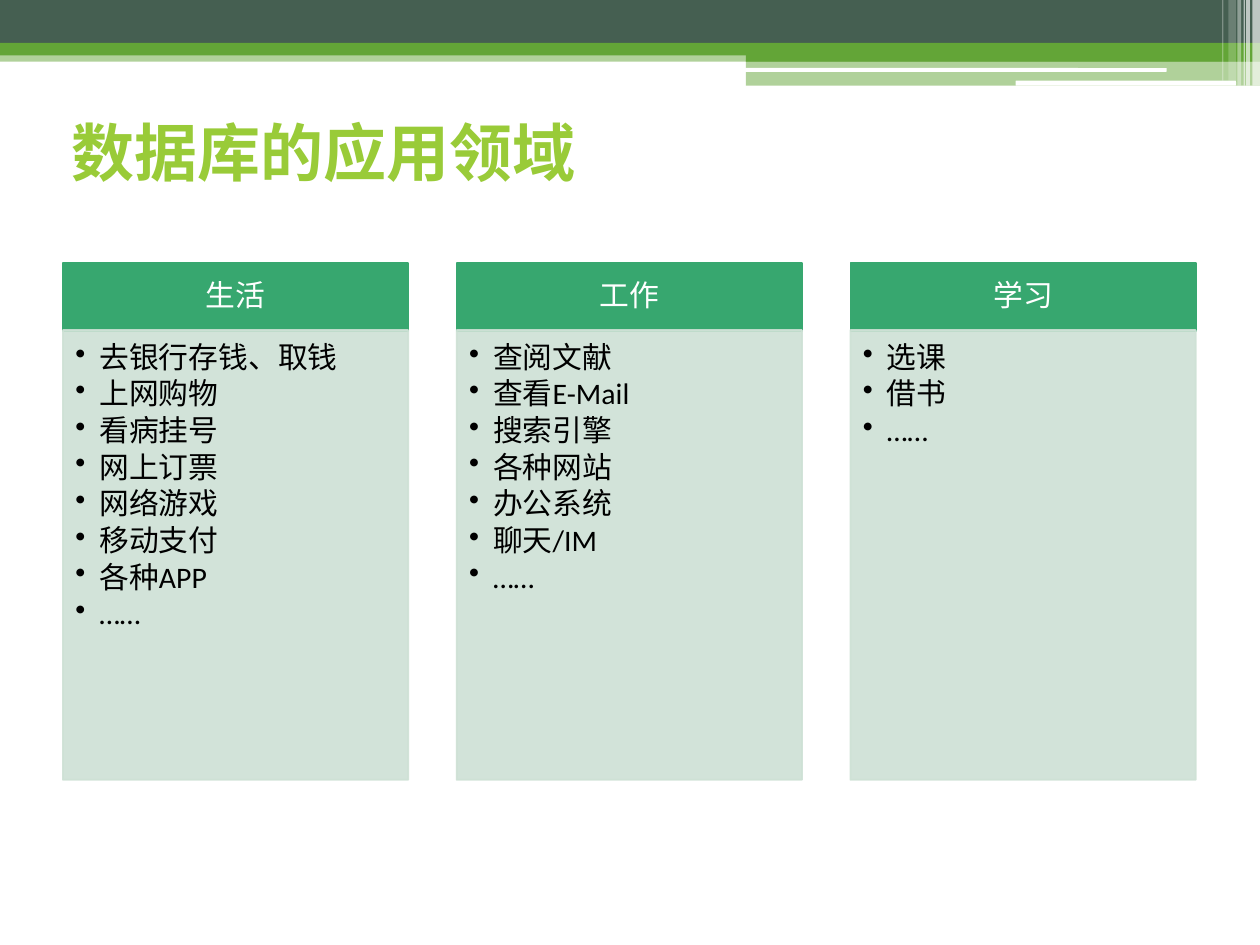
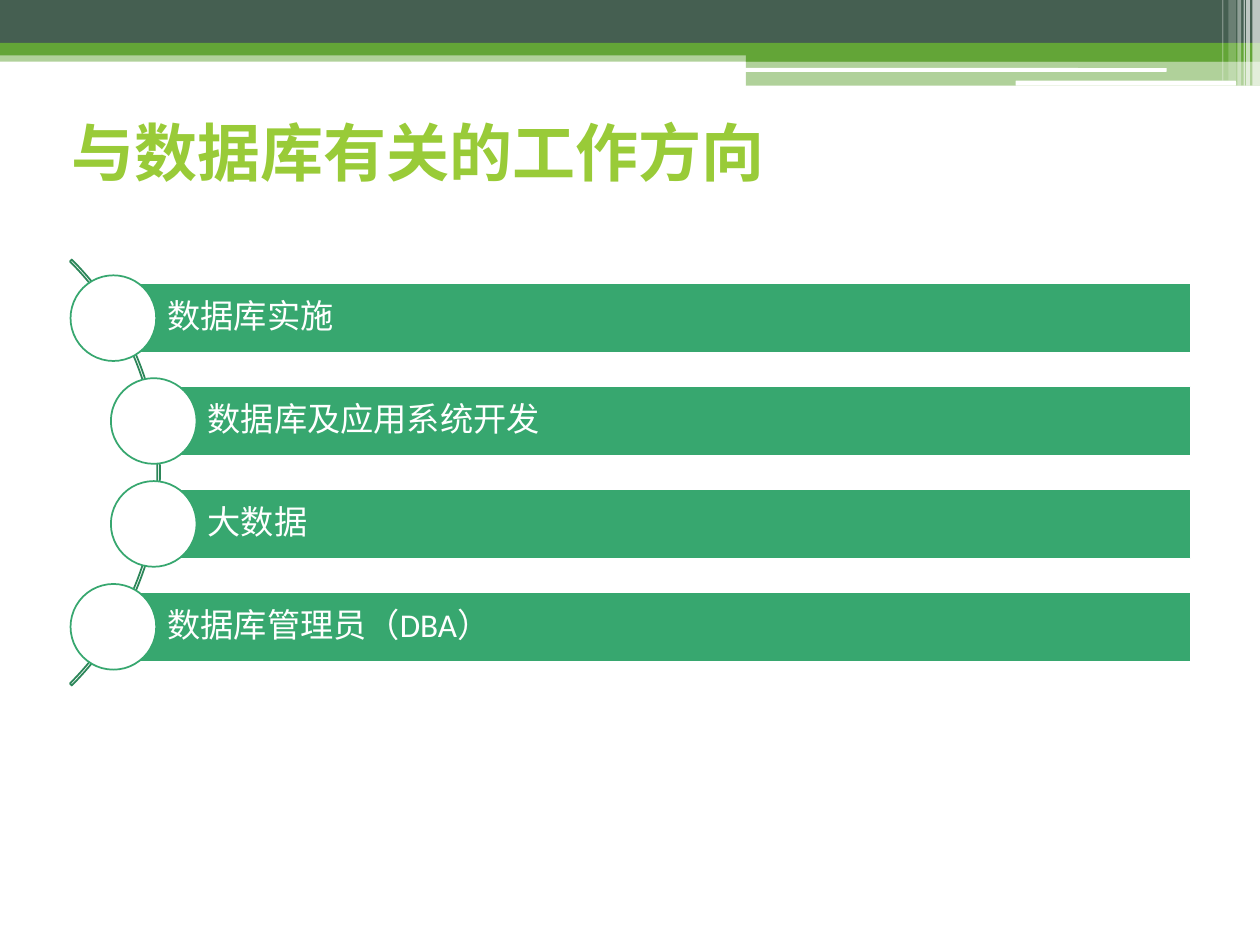
from dataclasses import dataclass
from typing import Optional

from lxml.etree import SubElement
from pptx import Presentation
from pptx.dml.color import RGBColor
from pptx.enum.shapes import MSO_SHAPE as Preset
from pptx.enum.text import MSO_ANCHOR as Anchor, PP_ALIGN as Align
from pptx.oxml.ns import qn
from pptx.util import Inches, Pt

COLORS = {
    "slate": "455F51",
    "green": "63A537",
    "lime": "99CB38",
    "emerald": "37A76F",
    "forest": "2C8659",
    "mint": "CEE1D5",
    "white": "FFFFFF",
    "black": "000000",
}
FONT = "Calibri"


@dataclass(frozen=True)
class Box:
    """Place and size in inches."""
    left: float
    top: float
    width: float
    height: float


@dataclass(frozen=True)
class Band:
    """One strip of the header decoration."""
    box: Box
    color: str
    opacity: int = 100
    preset: Preset = Preset.RECTANGLE


@dataclass(frozen=True)
class Field:
    """One area of use with its examples."""
    name: str
    examples: tuple[str, ...]


@dataclass(frozen=True)
class Career:
    """One career path and the left edge of its bar."""
    name: str
    left: float


BANDS = (
    Band(Box(0, 0.4, 10, 0.09), "green", 50),
    Band(Box(0, 0, 10, 0.34), "slate"),
    Band(Box(0, 0.34, 10, 0.1), "green"),
    Band(Box(5.92, 0.39, 4.08, 0.1), "green"),
    Band(Box(5.92, 0.48, 4.08, 0.2), "green", 50),
    Band(Box(5.91, 0.54, 3.35, 0.03), "white", preset=Preset.ROUNDED_RECTANGLE),
    Band(Box(8.06, 0.64, 1.75, 0.04), "white", preset=Preset.ROUNDED_RECTANGLE),
    Band(Box(9.94, 0, 0.06, 0.68), "white", 65),
    Band(Box(9.89, 0, 0.03, 0.68), "white", 65),
    Band(Box(9.87, 0, 0.01, 0.68), "white", 60),
    Band(Box(9.82, 0, 0.03, 0.68), "white", 40),
    Band(Box(9.75, 0, 0.06, 0.64), "white", 20),
    Band(Box(9.7, 0, 0.01, 0.64), "white", 30),
)
FIELDS = (
    Field("生活", ("去银行存钱、取钱", "上网购物", "看病挂号", "网上订票",
                 "网络游戏", "移动支付", "各种APP", "……")),
    Field("工作", ("查阅文献", "查看E-Mail", "搜索引擎", "各种网站",
                 "办公系统", "聊天/IM", "……")),
    Field("学习", ("选课", "借书", "……")),
)
CAREERS = (
    Career("数据库实施", 0.9),
    Career("数据库及应用系统开发", 1.22),
    Career("大数据", 1.22),
    Career("数据库管理员（DBA）", 0.9),
)


def rgb(color: str) -> RGBColor:
    """Look up a named colour."""
    return RGBColor.from_string(COLORS[color])


def place(box: Box) -> tuple:
    """Turn a box into lengths."""
    return tuple(map(Inches, (box.left, box.top, box.width, box.height)))


def draw_shape(slide, preset: Preset, box: Box, fill: Optional[str] = None,
               line: Optional[str] = None, opacity: int = 100):
    """Draw a preset shape without a shadow."""
    shape = slide.shapes.add_shape(preset, *place(box))
    shape.shadow.inherit = False
    if fill:
        shape.fill.solid()
        shape.fill.fore_color.rgb = rgb(fill)
    else:
        shape.fill.background()
    if line:
        shape.line.color.rgb = rgb(line)
        shape.line.width = Pt(1)
    else:
        shape.line.fill.background()
    if opacity < 100:
        for color in shape.element.spPr.iter(qn("a:srgbClr")):
            SubElement(color, qn("a:alpha"), val=str(opacity * 1000))
    return shape


def add_bullet(paragraph, indent: float) -> None:
    """Give a paragraph a hanging round bullet."""
    properties = paragraph._p.get_or_add_pPr()
    properties.set("marL", str(Inches(indent)))
    properties.set("indent", str(-Inches(indent)))
    SubElement(properties, qn("a:buChar"), char="•")


def write(holder, *lines: str, size: float, color: str, bold: bool = False,
          align: Align = Align.LEFT, anchor: Anchor = Anchor.MIDDLE,
          insets: tuple[float, ...] = (0.1, 0.05, 0.1, 0.05),
          spacing: float = 1.0, after: float = 0, bullets: bool = False) -> None:
    """Write one paragraph per line in one format."""
    frame = holder.text_frame
    frame.word_wrap = True
    frame.vertical_anchor = anchor
    frame.margin_left, frame.margin_top, frame.margin_right, frame.margin_bottom = map(Inches, insets)
    for index, line in enumerate(lines):
        paragraph = frame.add_paragraph() if index else frame.paragraphs[0]
        paragraph.alignment = align
        paragraph.line_spacing = spacing
        paragraph.space_after = Pt(after * size)
        if bullets:
            add_bullet(paragraph, 0.19)
        run = paragraph.add_run()
        run.text = line
        run.font.name = FONT
        run.font.size = Pt(size)
        run.font.bold = bold
        run.font.color.rgb = rgb(color)


def start_slide(deck, title: str):
    """Add a slide with the shared header and title."""
    slide = deck.slides.add_slide(deck.slide_layouts[6])
    for band in BANDS:
        draw_shape(slide, band.preset, band.box, band.color, opacity=band.opacity)
    heading = slide.shapes.add_textbox(*place(Box(0.47, 0.82, 9.06, 0.77)))
    write(heading, title, size=36, color="lime", bold=True)
    return slide


def draw_fields(slide) -> None:
    """Draw the areas of use as equal columns."""
    first, last, width = 0.5, 6.75, 2.74
    step = (last - first) / (len(FIELDS) - 1)
    for index, field in enumerate(FIELDS):
        left = first + index * step
        header = draw_shape(slide, Preset.RECTANGLE, Box(left, 2.09, width, 0.54),
                            "emerald", "emerald")
        write(header, field.name, size=17, color="white", align=Align.CENTER,
              insets=(0.13, 0.08, 0.13, 0.08), spacing=0.9)
        body = draw_shape(slide, Preset.RECTANGLE, Box(left, 2.62, width, 3.57),
                          "mint", "mint", opacity=90)
        write(body, *field.examples, size=17, color="black", anchor=Anchor.TOP,
              insets=(0.1, 0.1, 0.13, 0.15), spacing=0.9, after=0.15, bullets=True)


def draw_careers(slide) -> None:
    """Draw the career paths as bars along an arc."""
    arc = draw_shape(slide, Preset.BLOCK_ARC, Box(-3.51, 1.36, 4.78, 4.78), line="forest")
    for index, value in enumerate((189, 27, 0.0045)):
        arc.adjustments[index] = value
    first, last, right, height, diameter = 2.25, 4.7, 9.45, 0.55, 0.68
    step = (last - first) / (len(CAREERS) - 1)
    for index, career in enumerate(CAREERS):
        top = first + index * step
        bar = draw_shape(slide, Preset.RECTANGLE,
                         Box(career.left, top, right - career.left, height),
                         "emerald", "white")
        write(bar, career.name, size=19, color="white",
              insets=(0.43, 0.05, 0.05, 0.05), spacing=0.9)
        draw_shape(slide, Preset.OVAL,
                   Box(career.left - diameter / 2, top + (height - diameter) / 2,
                       diameter, diameter), "white", "emerald")


def main() -> None:
    """Build and save both slides."""
    deck = Presentation()
    deck.slide_width, deck.slide_height = Inches(10), Inches(7.5)
    draw_fields(start_slide(deck, "数据库的应用领域"))
    draw_careers(start_slide(deck, "与数据库有关的工作方向"))
    deck.save("out.pptx")


main()
